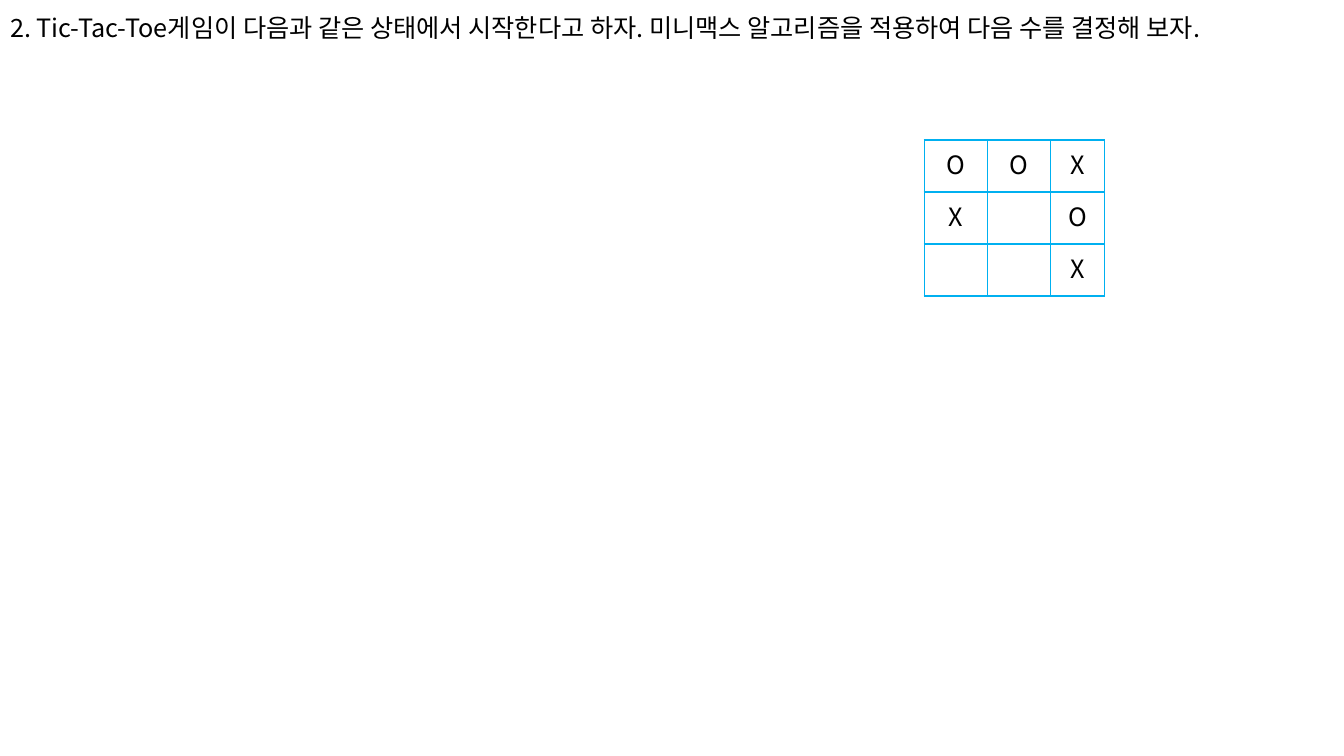
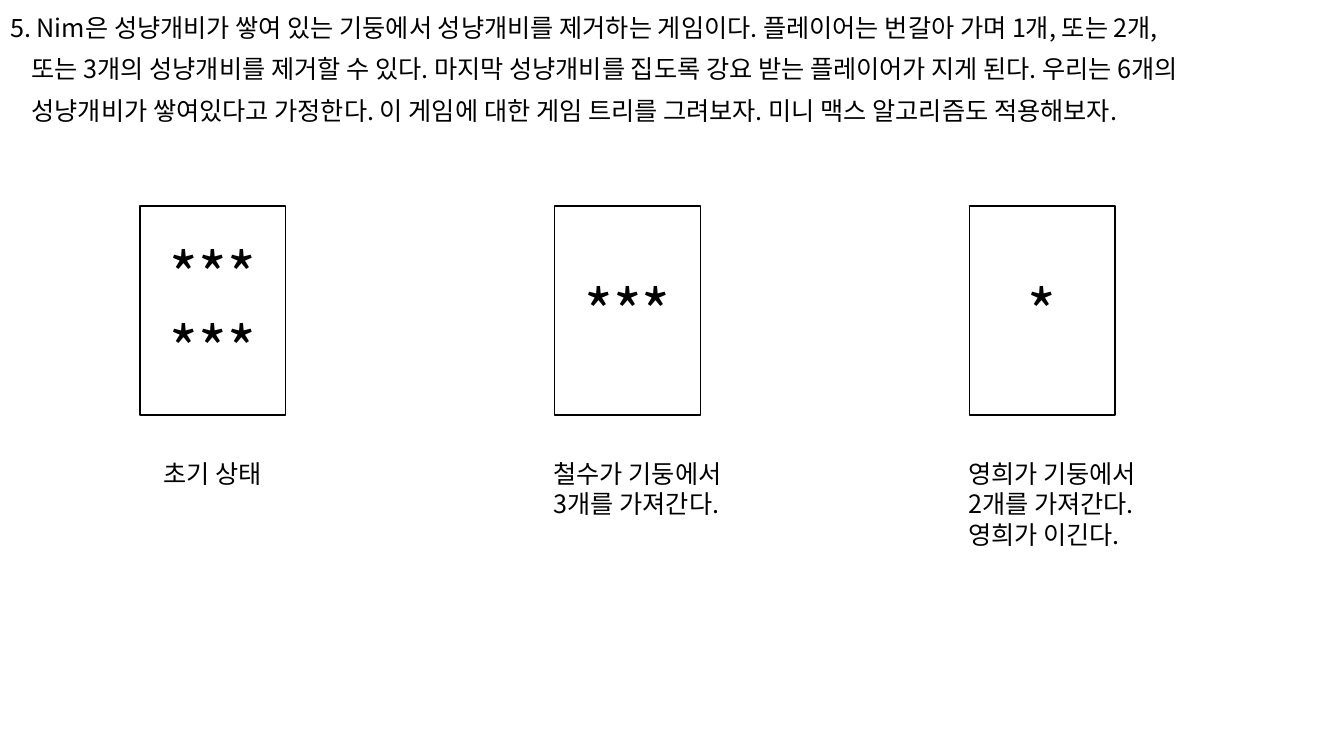
from lxml import etree
from pptx import Presentation
from pptx import util as u
from pptx.dml.color import RGBColor
from pptx.enum import shapes, text
from pptx.oxml.ns import qn

BLACK = RGBColor(0x00, 0x00, 0x00)
WHITE = RGBColor(0xFF, 0xFF, 0xFF)
BLUE = RGBColor(0x00, 0xB0, 0xF0)
FONT = "Noto Sans CJK KR"
LEFT, CENTER = text.PP_ALIGN.LEFT, text.PP_ALIGN.CENTER


class Deck:
    """Shared style and the current slide."""

    def __init__(self):
        self.prs = Presentation()
        self.prs.slide_width, self.prs.slide_height = u.Cm(33.87), u.Cm(19.05)
        self.s = None

    def add_lines(self, tf, lines, size=18, align=LEFT, pitch=None, before=0):
        tf.word_wrap = True
        for i, line in enumerate(lines):
            p = tf.add_paragraph() if i else tf.paragraphs[0]
            p.alignment = align
            p.space_before = u.Pt(before)
            if pitch:
                p.line_spacing = u.Pt(pitch)
            r = p.add_run()
            r.text = line
            r.font.size = u.Pt(size)
            r.font.name = FONT
            r.font.color.rgb = BLACK
            # Korean letters take the East Asian typeface
            ea = etree.SubElement(r.font._element, qn("a:ea"))
            ea.set("typeface", FONT)

    def slide(self, question, height):
        self.s = self.prs.slides.add_slide(self.prs.slide_layouts[5])
        sp = self.s.shapes.title
        sp.left, sp.top = u.Cm(0), u.Cm(0.25)
        sp.width, sp.height = self.prs.slide_width, u.Cm(height)
        tf = sp.text_frame
        tf.auto_size = text.MSO_AUTO_SIZE.NONE
        tf.vertical_anchor = text.MSO_ANCHOR.TOP
        self.add_lines(tf, question, pitch=19.6, before=10)
        # Later lines stand under the text after the number
        for p in tf.paragraphs[1:]:
            p._p.get_or_add_pPr().set("marL", str(u.Cm(0.54)))

    def box(self, x, y, w, h, lines):
        sp = self.s.shapes.add_shape(shapes.MSO_SHAPE.RECTANGLE,
                                     u.Cm(x), u.Cm(y), u.Cm(w), u.Cm(h))
        sp.shadow.inherit = False
        sp.fill.solid()
        sp.fill.fore_color.rgb = WHITE
        sp.line.color.rgb = BLACK
        sp.line.width = u.Pt(1)
        sp.text_frame.vertical_anchor = text.MSO_ANCHOR.MIDDLE
        self.add_lines(sp.text_frame, lines, size=44, align=CENTER, pitch=53)

    def caption(self, x, y, w, lines):
        sp = self.s.shapes.add_textbox(u.Cm(x), u.Cm(y), u.Cm(w),
                                       u.Cm(0.25 + 0.77 * len(lines)))
        self.add_lines(sp.text_frame, lines, pitch=21.6)

    def border(self, cell):
        tcPr = cell._tc.get_or_add_tcPr()
        for i, side in enumerate(("lnL", "lnR", "lnT", "lnB")):
            ln = etree.Element(qn("a:" + side), w=str(u.Pt(1)))
            fill = etree.SubElement(ln, qn("a:solidFill"))
            etree.SubElement(fill, qn("a:srgbClr"), val=str(BLUE))
            tcPr.insert(i, ln)

    def board(self, x, y, widths, row_height, rows):
        frame = self.s.shapes.add_table(
            len(rows), len(widths), u.Cm(x), u.Cm(y),
            u.Cm(sum(widths)), u.Cm(row_height * len(rows)))
        table = frame.table
        table.first_row = table.horz_banding = False
        for column, width in zip(table.columns, widths):
            column.width = u.Cm(width)
        for i, marks in enumerate(rows):
            table.rows[i].height = u.Cm(row_height)
            for j, mark in enumerate(marks):
                cell = table.cell(i, j)
                cell.fill.solid()
                cell.fill.fore_color.rgb = WHITE
                self.border(cell)
                if mark.strip():
                    self.add_lines(cell.text_frame, [mark], align=CENTER)


def main():
    d = Deck()

    # Tic-Tac-Toe position
    d.slide(["2. Tic-Tac-Toe게임이 다음과 같은 상태에서 시작한다고 하자. "
             "미니맥스 알고리즘을 적용하여 다음 수를 결정해 보자."], 1.17)
    d.board(23.29, 3.53, (1.59, 1.59, 1.37), 1.31, ("OOX", "X O", "  X"))

    # Nim piles, each with its caption
    d.slide(["5. Nim은 성냥개비가 쌓여 있는 기둥에서 성냥개비를 제거하는 게임이다. "
             "플레이어는 번갈아 가며 1개, 또는 2개,",
             "또는 3개의 성냥개비를 제거할 수 있다. 마지막 성냥개비를 집도록 "
             "강요 받는 플레이어가 지게 된다. 우리는 6개의",
             "성냥개비가 쌓여있다고 가정한다. 이 게임에 대한 게임 트리를 그려보자. "
             "미니 맥스 알고리즘도 적용해보자."], 3.1)
    piles = (
        (["***", "***"], 0.33, 3.66, ["초기 상태"]),
        (["***"], -0.28, 5.18, ["철수가 기둥에서", "3개를 가져간다."]),
        (["*"], -0.28, 5.18,
         ["영희가 기둥에서", "2개를 가져간다.", "영희가 이긴다."]),
    )
    for i, (sticks, shift, width, lines) in enumerate(piles):
        x = 3.53 + 10.45 * i
        d.box(x, 5.19, 3.67, 5.27, sticks)
        d.caption(x + shift, 11.43, width, lines)

    d.prs.save("out.pptx")


if __name__ == "__main__":
    main()
